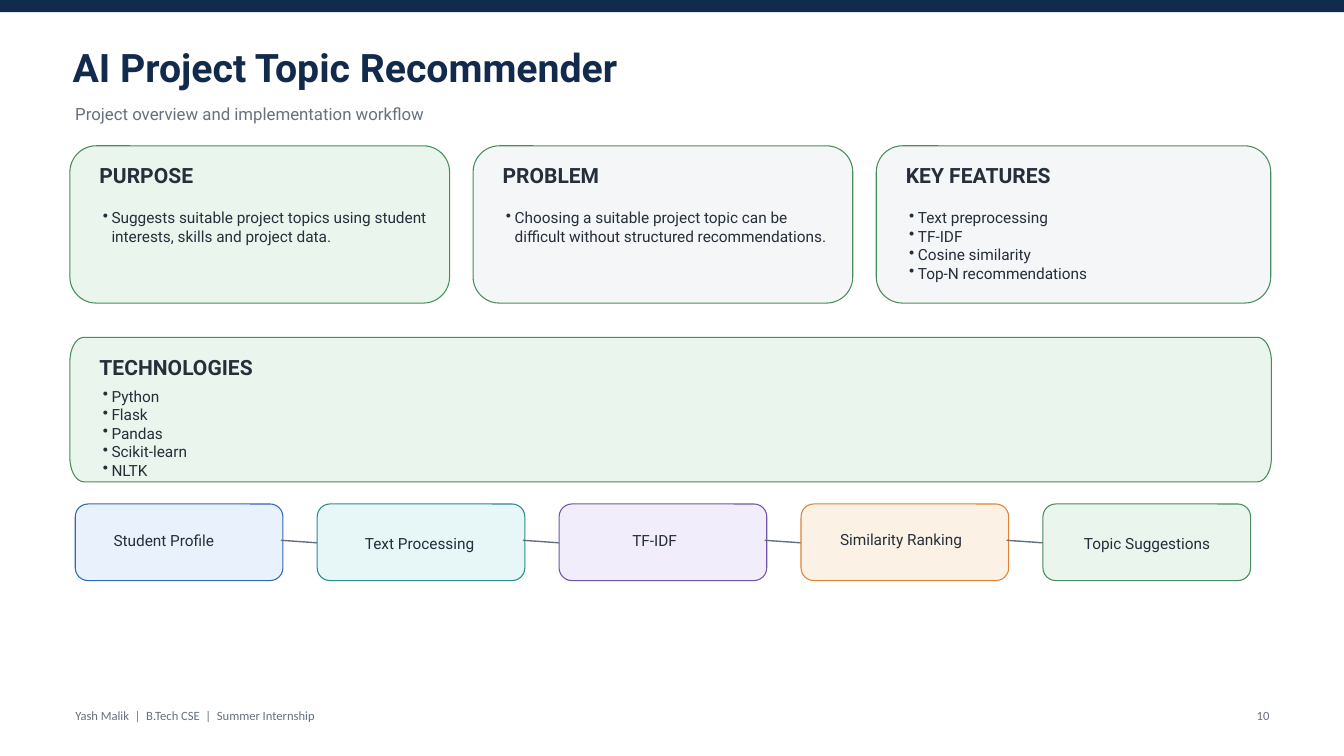
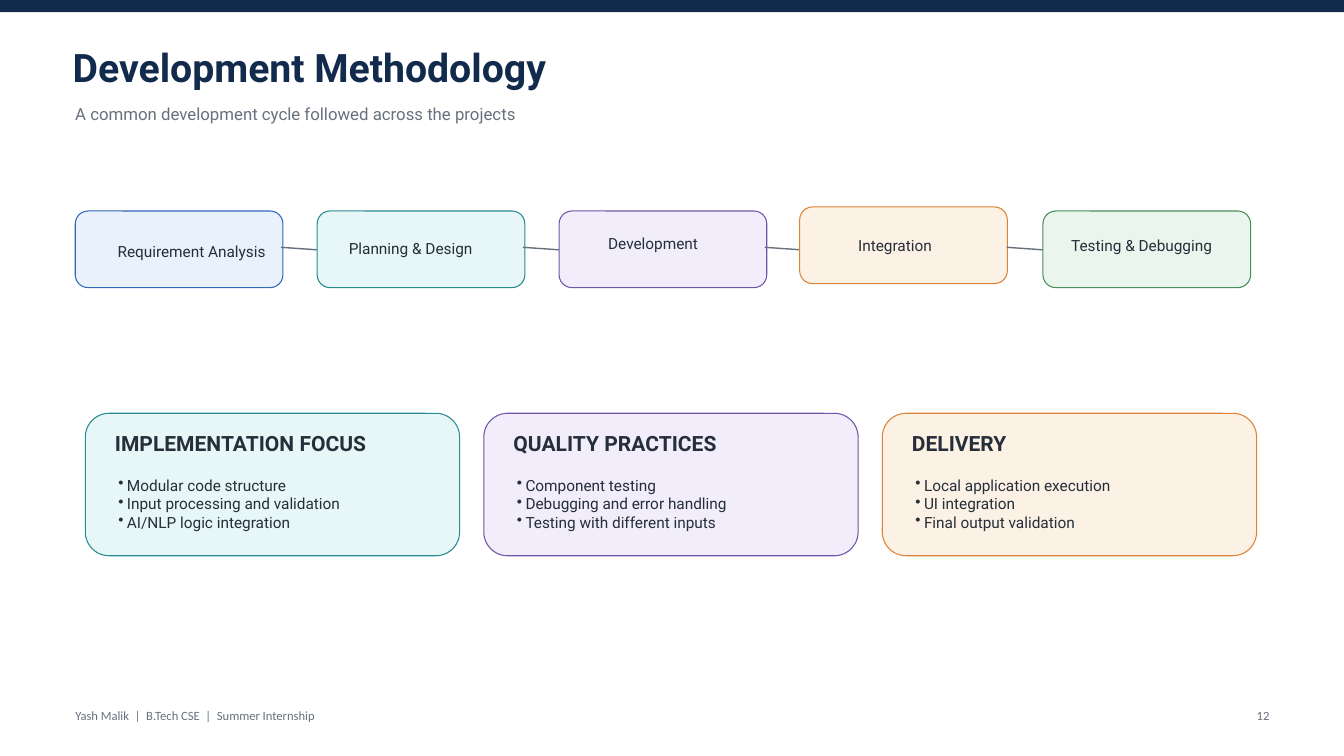
from math import cos, pi, sin

from lxml import etree
from pptx import Presentation
from pptx.dml.color import RGBColor
from pptx.enum.shapes import MSO_CONNECTOR, MSO_SHAPE
from pptx.enum.text import MSO_ANCHOR, MSO_AUTO_SIZE, PP_ALIGN
from pptx.oxml.ns import qn
from pptx.util import Inches, Pt

RECT, ROUND = MSO_SHAPE.RECTANGLE, MSO_SHAPE.ROUNDED_RECTANGLE
STRAIGHT = MSO_CONNECTOR.STRAIGHT
TOP, FIXED = MSO_ANCHOR.TOP, MSO_AUTO_SIZE.NONE
LEFT, RIGHT = PP_ALIGN.LEFT, PP_ALIGN.RIGHT
TITLE_ONLY = 5


class Theme:
    """Colours, type styles and line weights."""
    navy, ink, grey = "122A4C", "262E3A", "67717D"
    # Fill and outline pairs
    blue = ("E8F1FC", "2E69B4")
    teal = ("E7F7F7", "2A8B91")
    plum = ("F1EDFA", "6F56AA")
    amber = ("FCF1E5", "DE8437")
    green = ("EAF6ED", "488E5B")
    pale = ("F4F6F8", "488E5B")
    steps = (blue, teal, plum, amber, green)
    # Points, face, weight, colour
    type = {
        "title": (dict(size=Pt(42), name="Roboto", bold=True), navy),
        "sub": (dict(size=Pt(18), name="Roboto", bold=False), grey),
        "foot": (dict(size=Pt(13.5), name="Calibri", bold=False), grey),
        "head": (dict(size=Pt(22.5), name="Roboto", bold=True), ink),
        "body": (dict(size=Pt(16.5), name="Roboto", bold=False), ink),
    }
    edge, link = Pt(1.13), Pt(1.5)
    leading = 1.2
    hang = Inches(0.13)


FRAME = dict(margin_left=0, margin_top=0, margin_right=0, margin_bottom=0,
             word_wrap=True, auto_size=FIXED, vertical_anchor=TOP)


def assign(item, values):
    for key, value in values.items():
        setattr(item, key, value)


def rgb(code):
    return RGBColor.from_string(code)


class Deck:
    def __init__(self, theme):
        self.theme = theme
        self.prs = Presentation()
        assign(self.prs, dict(slide_width=Inches(20), slide_height=Inches(11.25)))
        self.slide = None

    # Basic elements
    def fill(self, frame, lines, style, align=LEFT, bullet=False):
        assign(frame, FRAME)
        font, color = self.theme.type[style]
        for i, line in enumerate(lines):
            para = frame.add_paragraph() if i else frame.paragraphs[0]
            para.text = line
            if bullet:
                self.mark(para)
            assign(para, dict(alignment=align, space_before=Pt(0),
                              line_spacing=Pt(font["size"].pt * self.theme.leading)))
            assign(para.runs[0].font, font)
            para.runs[0].font.color.rgb = rgb(color)

    def mark(self, para):
        props = para._p.get_or_add_pPr()
        props.set("marL", str(self.theme.hang))
        props.set("indent", str(-self.theme.hang))
        etree.SubElement(props, qn("a:buChar"), char="•")

    def text(self, x, y, w, h, lines, style, **opts):
        box = self.slide.shapes.add_textbox(*map(Inches, (x, y, w, h)))
        self.fill(box.text_frame, lines, style, **opts)

    def paint(self, shape, fill, line=None):
        shape.shadow.inherit = False
        shape.fill.solid()
        shape.fill.fore_color.rgb = rgb(fill)
        if line:
            shape.line.color.rgb = rgb(line)
            shape.line.width = self.theme.edge
        else:
            shape.line.fill.background()

    def box(self, kind, x, y, w, h, *tone):
        shape = self.slide.shapes.add_shape(kind, *map(Inches, (x, y, w, h)))
        self.paint(shape, *tone)

    def panel(self, x, y, w, h, rx, ry, tone):
        """Panel with elliptical corners, clockwise from the top right."""
        points = []
        for turn, (cx, cy) in enumerate([(x + w - rx, y + ry),
                                         (x + w - rx, y + h - ry),
                                         (x + rx, y + h - ry),
                                         (x + rx, y + ry)]):
            for step in range(13):
                a = (turn - 1 + step / 12) * pi / 2
                points.append((Inches(cx + rx * cos(a)), Inches(cy + ry * sin(a))))
        outline = self.slide.shapes.build_freeform(*points[0])
        outline.add_line_segments(points[1:], close=True)
        self.paint(outline.convert_to_shape(), *tone)

    def link(self, x1, y1, x2, y2):
        line = self.slide.shapes.add_connector(
            STRAIGHT, *map(Inches, (x1, y1, x2, y2)))
        line.line.color.rgb = rgb(self.theme.grey)
        line.line.width = self.theme.link
        etree.SubElement(line._element.spPr, qn("a:effectLst"))

    # Slide frame
    def page(self, title, sub, number):
        layout = self.prs.slide_layouts[TITLE_ONLY]
        self.slide = self.prs.slides.add_slide(layout)
        self.box(RECT, 0, 0, 20, 0.18, self.theme.navy)
        head = self.slide.shapes.title
        assign(head, dict(left=Inches(1.08), top=Inches(0.65),
                          width=Inches(17.06), height=Inches(0.8)))
        self.fill(head.text_frame, [title], "title")
        self.text(1.12, 1.55, 17.06, 0.43, [sub], "sub")
        self.text(1.12, 10.53, 10.31, 0.31,
                  ["Yash Malik  |  B.Tech CSE  |  Summer Internship"], "foot")
        self.text(18.49, 10.53, 0.4, 0.31, [number], "foot", align=RIGHT)

    # Cards and flow
    def notes(self, x, y, w, h, head, items, drop=0.93):
        self.text(x + 0.44, y + 0.25, w - 0.82, 0.5, [head], "head")
        self.text(x + 0.49, y + drop, w - 0.75, h - drop - 0.1, items,
                  "body", bullet=True)

    def card(self, x, y, w, h, tone, head, items):
        self.box(ROUND, x, y, w, h, *tone)
        self.notes(x, y, w, h, head, items)

    def flow(self, top, labels, shifts=None):
        """Five linked steps; shifts moves a step off the grid by its index."""
        for i, tone in enumerate(self.theme.steps):
            x = 1.12 + 3.6 * i
            dx, dy = (shifts or {}).get(i, (0, 0))
            self.box(ROUND, x + dx, top + dy, 3.09, 1.14, *tone)
            if i < len(self.theme.steps) - 1:
                self.link(x + 3.06, top + 0.54, x + 3.63, top + 0.58)
        for label, x, y in labels:
            self.text(x, y, 2.52, 0.27, [label], "body")


def topic(deck):
    t = deck.theme
    deck.page("AI Project Topic Recommender",
              "Project overview and implementation workflow", "10")
    cards = [
        (5.65, t.green, "PURPOSE",
         ["Suggests suitable project topics using student interests, "
          "skills and project data."]),
        (5.65, t.pale, "PROBLEM",
         ["Choosing a suitable project topic can be difficult without "
          "structured recommendations."]),
        (5.87, t.pale, "KEY FEATURES",
         ["Text preprocessing", "TF-IDF", "Cosine similarity",
          "Top-N recommendations"]),
    ]
    for i, (w, *rest) in enumerate(cards):
        deck.card(1.04 + 6 * i, 2.17, w, 2.34, *rest)

    # Technologies
    area = (1.04, 5.02, 17.88, 2.15)
    deck.panel(*area, 0.21, 0.36, t.green)
    deck.notes(*area, "TECHNOLOGIES",
               ["Python", "Flask", "Pandas", "Scikit-learn", "NLTK"], drop=0.74)

    # Workflow
    deck.flow(7.5, [("Student Profile", 1.69, 7.91),
                    ("Text Processing", 5.43, 7.95),
                    ("TF-IDF", 9.41, 7.91),
                    ("Similarity Ranking", 12.5, 7.89),
                    ("Topic Suggestions", 16.13, 7.95)])


def method(deck):
    t = deck.theme
    deck.page("Development Methodology",
              "A common development cycle followed across the projects", "12")

    # Development cycle
    deck.flow(3.14, [("Requirement Analysis", 1.75, 3.6),
                     ("Planning & Design", 5.19, 3.56),
                     ("Development", 9.05, 3.49),
                     ("Integration", 12.77, 3.52),
                     ("Testing & Debugging", 15.94, 3.52)],
              shifts={3: (-0.02, -0.06)})

    # Practices
    cards = [
        (t.teal, "IMPLEMENTATION FOCUS",
         ["Modular code structure", "Input processing and validation",
          "AI/NLP logic integration"]),
        (t.plum, "QUALITY PRACTICES",
         ["Component testing", "Debugging and error handling",
          "Testing with different inputs"]),
        (t.amber, "DELIVERY",
         ["Local application execution", "UI integration",
          "Final output validation"]),
    ]
    for i, card in enumerate(cards):
        deck.card(1.27 + 5.93 * i, 6.15, 5.57, 2.12, *card)


def main():
    deck = Deck(Theme())
    topic(deck)
    method(deck)
    deck.prs.save("out.pptx")


if __name__ == "__main__":
    main()
